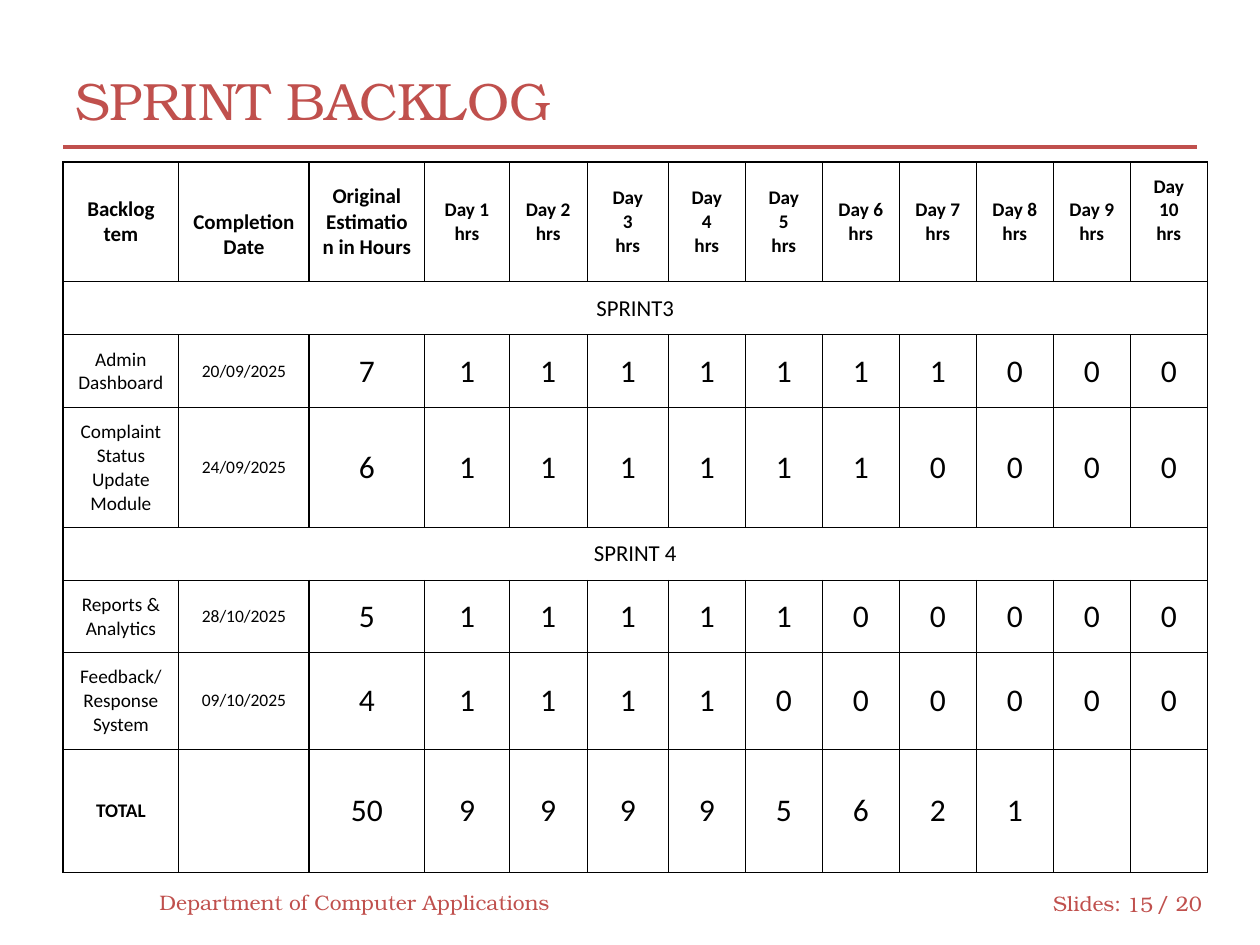
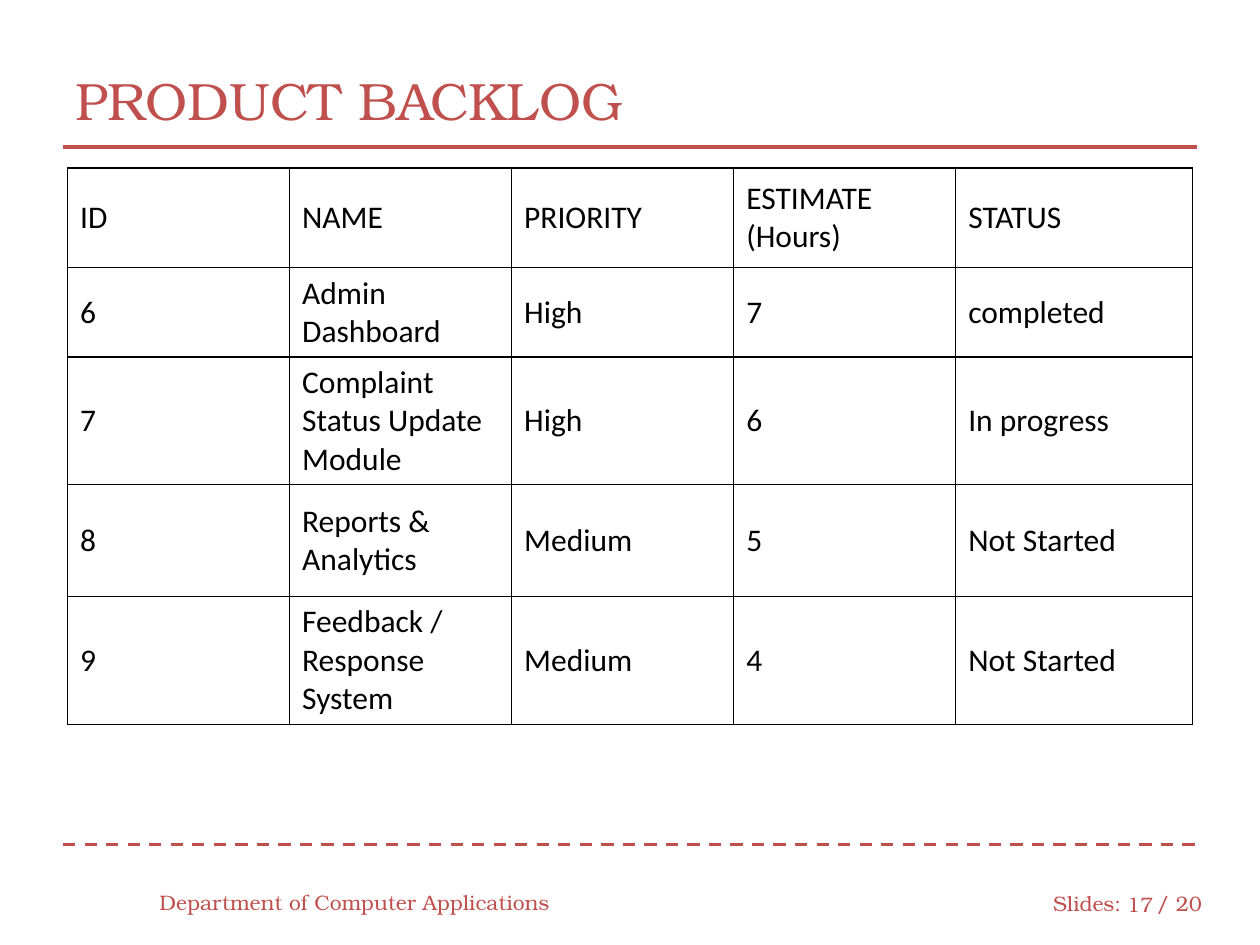
from dataclasses import dataclass
from lxml.etree import SubElement
from pptx import Presentation
from pptx.dml.color import RGBColor
from pptx.enum.dml import MSO_LINE
from pptx.enum.shapes import MSO_CONNECTOR
from pptx.enum.text import MSO_ANCHOR, PP_ALIGN
from pptx.oxml import parse_xml
from pptx.oxml.ns import nsdecls, qn
from pptx.util import Pt


@dataclass(frozen=True)
class Theme:
    accent: str = "C0504D"
    ink: str = "000000"
    paper: str = "FFFFFF"
    serif: str = "TeX Gyre Bonum"
    sans: str = "Calibri"
    title: int = 30
    foot: int = 12
    head: int = 12
    label: int = 11
    date: int = 10
    band: int = 13
    body: int = 18
    rule: float = 1.75
    grid: float = 0.75


@dataclass(frozen=True)
class Box:
    left: float
    top: float
    width: float
    height: float

    def pts(self):
        return [Pt(n) for n in (self.left, self.top, self.width, self.height)]


LOOK = Theme()
PAGE = Box(0, 0, 720, 540)
MARGIN = 36

SPRINT_COLS = [66.2, 74.4, 66.2, 48.2, 44.6, 46.4] + [44] * 7
SPRINT_ROWS = [68.5, 30.3, 41.6, 68.5, 30.3, 41.2, 55.4, 70.2]
SPLIT_DAYS = (3, 4, 5)
SPRINTS = [
    ("SPRINT3", [
        ("Admin Dashboard", "20/09/2025", 7),
        ("Complaint Status Update Module", "24/09/2025", 6),
    ]),
    ("SPRINT 4", [
        ("Reports & Analytics", "28/10/2025", 5),
        ("Feedback/Response System", "09/10/2025", 4),
    ]),
]
TOTALS = ["TOTAL", "", 50, 9, 9, 9, 9, 5, 6, 2, 1, "", ""]

PRODUCT_COLS = [126.9] * 4 + [135.4]
PRODUCT_ROWS = [57, 51, 73, 64, 73]
PRODUCT = [
    ("ID", "NAME", "PRIORITY", "ESTIMATE (Hours)", "STATUS"),
    (6, "Admin Dashboard", "High", 7, "completed"),
    (7, "Complaint Status Update Module", "High", 6, "In progress"),
    (8, "Reports & Analytics", "Medium", 5, "Not Started"),
    (9, "Feedback / Response System", "Medium", 4, "Not Started"),
]


def put(item, values):
    for name, value in values.items():
        setattr(item, name, value)


def write(frame, text, font, size, color, align=PP_ALIGN.LEFT, bold=False):
    for spot, line in enumerate(str(text).split("\n")):
        para = frame.add_paragraph() if spot else frame.paragraphs[0]
        para.alignment = align
        run = para.add_run()
        run.text = line
        put(run.font, {"name": font, "size": Pt(size), "bold": bold})
        run.font.color.rgb = RGBColor.from_string(color)


def add_text(slide, box, text, size, align=PP_ALIGN.LEFT):
    frame = slide.shapes.add_textbox(*box.pts()).text_frame
    put(frame, {"word_wrap": True, "vertical_anchor": MSO_ANCHOR.MIDDLE})
    write(frame, text, LOOK.serif, size, LOOK.accent, align)


def add_rule(slide, box, top, dash=None):
    left, right = box.left + MARGIN, box.left + box.width - MARGIN
    rule = slide.shapes.add_connector(
        MSO_CONNECTOR.STRAIGHT, Pt(left), Pt(top), Pt(right), Pt(top))
    put(rule.line, {"width": Pt(LOOK.rule), "dash_style": dash})
    rule.line.color.rgb = RGBColor.from_string(LOOK.accent)
    SubElement(rule._element.spPr, qn("a:effectLst"))


def add_head(slide, box, title):
    inner = Box(box.left + MARGIN, box.top + 24, box.width - 2 * MARGIN, 66)
    add_rule(slide, box, box.top + 84)
    add_text(slide, inner, title, LOOK.title)


def add_foot(slide, box, page):
    right, top = box.left + box.width, box.top + box.height - 39
    parts = [
        (box.left + 84, 0, 240, "Department of Computer Applications", PP_ALIGN.LEFT),
        (right - 125.3, 0.5, 54, "Slides:", PP_ALIGN.LEFT),
        (right - 84.2, 1, 30.2, page, PP_ALIGN.RIGHT),
        (right - 66.2, 0.5, 42, "/ 20", PP_ALIGN.LEFT),
    ]
    for left, drop, width, text, align in parts:
        add_text(slide, Box(left, top + drop, width, 28.8), text, LOOK.foot, align)


def add_slide(deck, title, page):
    slide = deck.slides.add_slide(deck.slide_layouts[6])
    add_head(slide, PAGE, title)
    add_foot(slide, PAGE, page)
    return slide


def edge(cell):
    props = cell._tc.get_or_add_tcPr()
    for spot, side in enumerate("LRTB"):
        props.insert(spot, parse_xml(
            f'<a:ln{side} {nsdecls("a")} w="{Pt(LOOK.grid)}"><a:solidFill>'
            f'<a:srgbClr val="{LOOK.ink}"/></a:solidFill></a:ln{side}>'))


def add_grid(slide, left, top, cols, rows):
    box = Box(left, top, sum(cols), sum(rows))
    grid = slide.shapes.add_table(len(rows), len(cols), *box.pts()).table
    put(grid, {"first_row": False, "horz_banding": False})
    for col, width in zip(grid.columns, cols):
        col.width = Pt(width)
    for row, height in zip(grid.rows, rows):
        row.height = Pt(height)
    for cell in grid.iter_cells():
        cell.fill.solid()
        cell.fill.fore_color.rgb = RGBColor.from_string(LOOK.paper)
        cell.vertical_anchor = MSO_ANCHOR.MIDDLE
        edge(cell)
    return grid


def fill_cell(cell, text, size, align=PP_ALIGN.LEFT, bold=False):
    if text != "":
        write(cell.text_frame, text, LOOK.sans, size, LOOK.ink, align, bold)


def day_name(day):
    gap = "\n" if day in SPLIT_DAYS else " "
    return f"Day{gap}{day}\nhrs"


def sprint_rows():
    heads = ["Backlog tem", " Completion Date", "Original Estimation in Hours"]
    yield heads + [day_name(day) for day in range(1, 11)]
    for name, tasks in SPRINTS:
        yield [name]
        for task, date, hours in tasks:
            yield [task, date, hours] + [1] * hours + [0] * (10 - hours)
    yield TOTALS


def sprint_size(row, col):
    if row == 0:
        return LOOK.head if col < 3 else LOOK.label
    return (LOOK.label, LOOK.date)[col] if col < 2 else LOOK.body


def add_sprint(slide, left, top):
    grid = add_grid(slide, left, top, SPRINT_COLS, SPRINT_ROWS)
    pad = dict.fromkeys(
        ("margin_left", "margin_right", "margin_top", "margin_bottom"), Pt(7.2))
    for cell in grid.iter_cells():
        put(cell, pad)
    grid.cell(0, 12).margin_bottom = Pt(20.6)
    for row, texts in enumerate(sprint_rows()):
        band = len(texts) == 1
        if band:
            grid.cell(row, 0).merge(grid.cell(row, len(SPRINT_COLS) - 1))
        for col, text in enumerate(texts):
            size = LOOK.band if band else sprint_size(row, col)
            bold = row == 0 or text == "TOTAL"
            fill_cell(grid.cell(row, col), text, size, PP_ALIGN.CENTER, bold)


def add_product(slide, left, top):
    grid = add_grid(slide, left, top, PRODUCT_COLS, PRODUCT_ROWS)
    for row, texts in enumerate(PRODUCT):
        for col, text in enumerate(texts):
            fill_cell(grid.cell(row, col), text, LOOK.body)


def main():
    deck = Presentation()
    put(deck, {"slide_width": Pt(PAGE.width), "slide_height": Pt(PAGE.height)})
    add_sprint(add_slide(deck, "SPRINT BACKLOG", 15), 36, 92.6)
    slide = add_slide(deck, "PRODUCT BACKLOG", 17)
    add_rule(slide, PAGE, 482.4, MSO_LINE.DASH)
    add_product(slide, 38.6, 96)
    deck.save("out.pptx")


if __name__ == "__main__":
    main()
